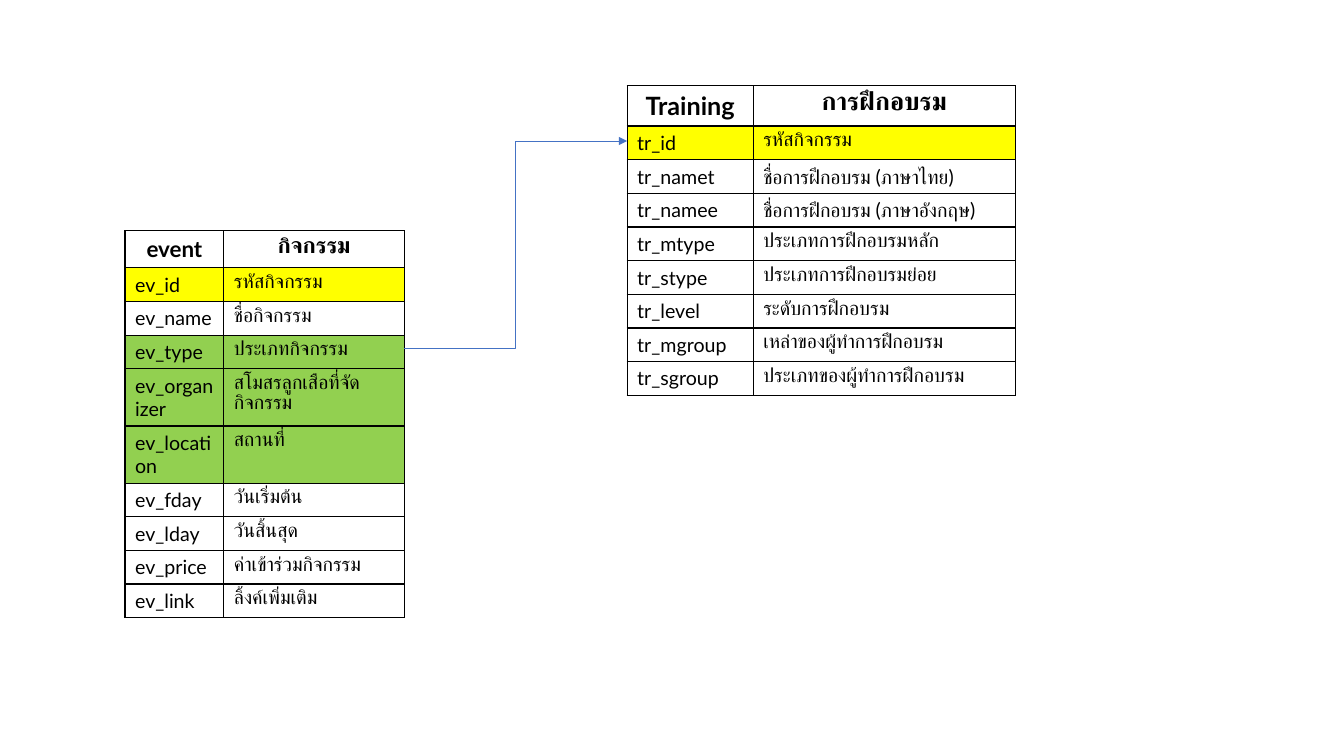
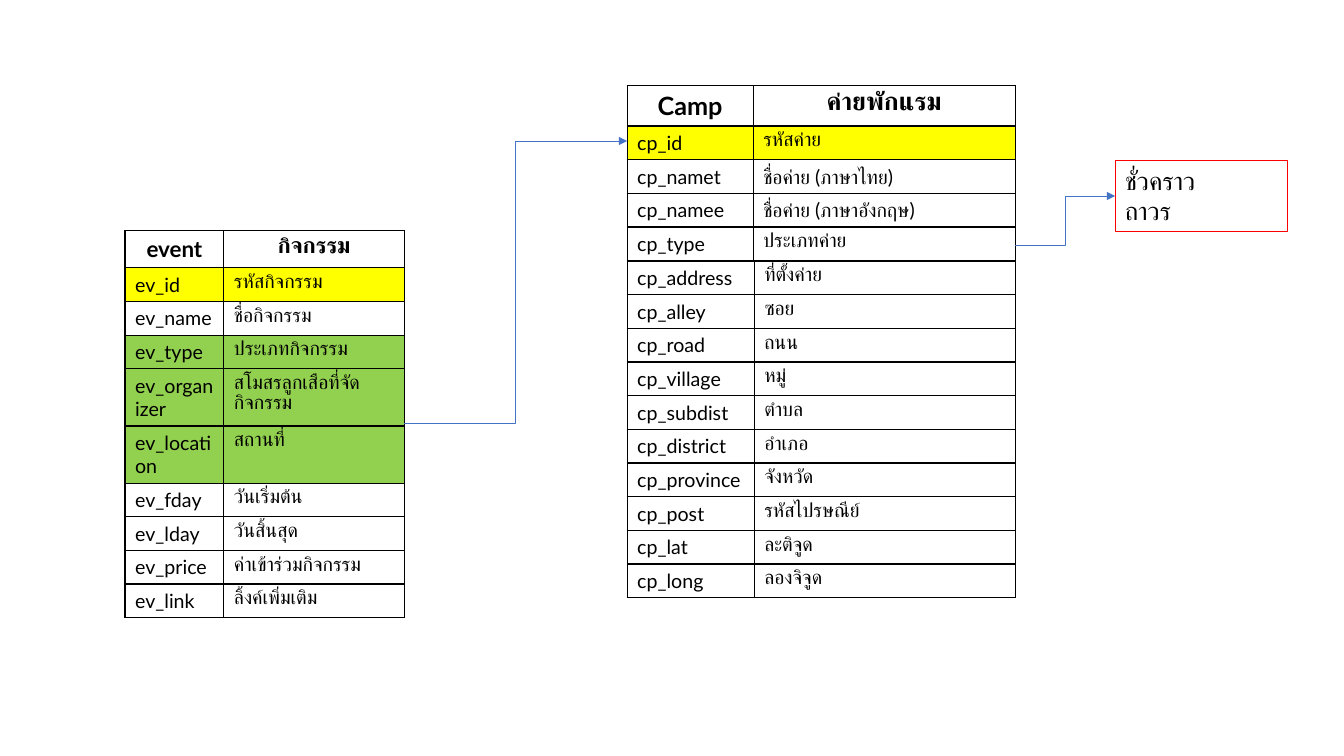
"""Build two database diagrams that link the event table to its related tables."""
from lxml import etree
from pptx import Presentation
from pptx.dml.color import RGBColor
from pptx.enum.shapes import MSO_CONNECTOR
from pptx.enum.text import MSO_AUTO_SIZE, PP_ALIGN
from pptx.oxml.ns import qn
from pptx.util import Inches, Pt

ELBOW = MSO_CONNECTOR.ELBOW
CENTER, LEFT = PP_ALIGN.CENTER, PP_ALIGN.LEFT
FIT = MSO_AUTO_SIZE.SHAPE_TO_FIT_TEXT

THEME = {
    "font": "Lato", "text": "000000", "link": "4472C4", "note": "FF0000",
    "key": "FFFF00", "foreign": "92D050",
    "body": 14, "event_head": 16, "head": 18,
    "border": 1, "link_width": 0.5, "note_width": 0.75,
}

EVENT = [
    ("event", "กิจกรรม"),
    ("ev_id", "รหัสกิจกรรม"),
    ("ev_name", "ชื่อกิจกรรม"),
    ("ev_type", "ประเภทกิจกรรม"),
    ("ev_organizer", "สโมสรลูกเสือที่จัดกิจกรรม"),
    ("ev_location", "สถานที่"),
    ("ev_fday", "วันเริ่มต้น"),
    ("ev_lday", "วันสิ้นสุด"),
    ("ev_price", "ค่าเข้าร่วมกิจกรรม"),
    ("ev_link", "ลิ้งค์เพิ่มเติม"),
]
TRAINING = [
    ("Training", "การฝึกอบรม"),
    ("tr_id", "รหัสกิจกรรม"),
    ("tr_namet", "ชื่อการฝึกอบรม (ภาษาไทย)"),
    ("tr_namee", "ชื่อการฝึกอบรม (ภาษาอังกฤษ)"),
    ("tr_mtype", "ประเภทการฝึกอบรมหลัก"),
    ("tr_stype", "ประเภทการฝึกอบรมย่อย"),
    ("tr_level", "ระดับการฝึกอบรม"),
    ("tr_mgroup", "เหล่าของผู้ทำการฝึกอบรม"),
    ("tr_sgroup", "ประเภทของผู้ทำการฝึกอบรม"),
]
CAMP = [
    ("Camp", "ค่ายพักแรม"),
    ("cp_id", "รหัสค่าย"),
    ("cp_namet", "ชื่อค่าย (ภาษาไทย)"),
    ("cp_namee", "ชื่อค่าย (ภาษาอังกฤษ)"),
    ("cp_type", "ประเภทค่าย"),
]
ADDRESS = [
    ("cp_address", "ที่ตั้งค่าย"),
    ("cp_alley", "ซอย"),
    ("cp_road", "ถนน"),
    ("cp_village", "หมู่"),
    ("cp_subdist", "ตำบล"),
    ("cp_district", "อำเภอ"),
    ("cp_province", "จังหวัด"),
    ("cp_post", "รหัสไปรษณีย์"),
    ("cp_lat", "ละติจูด"),
    ("cp_long", "ลองจิจูด"),
]
CAMP_TYPES = ["ชั่วคราว", "ถาวร"]

FILLS = {"ev_id": "key", "tr_id": "key", "cp_id": "key",
         "ev_type": "foreign", "ev_organizer": "foreign", "ev_location": "foreign"}

EVENT_PLACE = {"at": (1.24, 2.29), "cols": (0.98, 1.79), "head": "event_head"}
TARGET_PLACE = {"at": (6.22, 0.85), "cols": (1.25, 2.6), "head": "head"}
ADDRESS_PLACE = {"at": (6.22, 2.59), "cols": (1.26, 2.59), "head": None}
NOTE_BOX = (11.06, 1.59, 1.71, 0.71)
EVENT_RIGHT, TARGET_LEFT, TARGET_RIGHT, ID_Y = 4.01, 6.22, 10.07, 1.4

SLIDES = [
    {"tables": [(EVENT, EVENT_PLACE), (TRAINING, TARGET_PLACE)],
     "links": [(EVENT_RIGHT, 3.46, TARGET_LEFT, ID_Y)], "note": None},
    {"tables": [(EVENT, EVENT_PLACE), (CAMP, TARGET_PLACE), (ADDRESS, ADDRESS_PLACE)],
     "links": [(EVENT_RIGHT, 4.2, TARGET_LEFT, ID_Y),
               (TARGET_RIGHT, 2.43, NOTE_BOX[0], NOTE_BOX[1] + NOTE_BOX[3] / 2)],
     "note": CAMP_TYPES},
]


def color(name):
    return RGBColor.from_string(THEME[name])


def write(p, text, size, bold=False, align=LEFT):
    p.alignment = align
    r = p.add_run()
    r.text = text
    for name, value in {"name": THEME["font"], "size": Pt(THEME[size]), "bold": bold}.items():
        setattr(r.font, name, value)
    r.font.color.rgb = color("text")


def add_borders(cell):
    tc_pr = cell._tc.get_or_add_tcPr()
    for side in ("lnL", "lnR", "lnT", "lnB"):
        ln = etree.SubElement(tc_pr, qn(f"a:{side}"), w=str(Pt(THEME["border"])))
        fill = etree.SubElement(ln, qn("a:solidFill"))
        etree.SubElement(fill, qn("a:srgbClr"), val=THEME["text"])


def add_field_table(s, rows, place):
    x, y = place["at"]
    cols, head = place["cols"], place["head"]
    sizes = [head if head and i == 0 else "body" for i in range(len(rows))]
    heights = [Pt(THEME[size] * 1.2) + Inches(0.1) for size in sizes]
    table = s.shapes.add_table(len(rows), len(cols), Inches(x), Inches(y),
                               Inches(sum(cols)), sum(heights)).table
    table.first_row = table.horz_banding = False
    for col, width in zip(table.columns, cols):
        col.width = Inches(width)
    for row, height, size, texts in zip(table.rows, heights, sizes, rows):
        row.height = height
        is_head = size != "body"
        for cell, text in zip(row.cells, texts):
            write(cell.text_frame.paragraphs[0], text, size, is_head,
                  CENTER if is_head else LEFT)
            add_borders(cell)
            if texts[0] in FILLS:
                cell.fill.solid()
                cell.fill.fore_color.rgb = color(FILLS[texts[0]])
            else:
                cell.fill.background()


def add_link(s, ends):
    sp = s.shapes.add_connector(ELBOW, *(Inches(v) for v in ends))
    sp.line.color.rgb = color("link")
    sp.line.width = Pt(THEME["link_width"])
    etree.SubElement(sp.line._get_or_add_ln(), qn("a:tailEnd"), type="triangle")
    etree.SubElement(sp._element.spPr, qn("a:effectLst"))


def add_note(s, lines):
    sp = s.shapes.add_textbox(*(Inches(v) for v in NOTE_BOX))
    sp.line.color.rgb = color("note")
    sp.line.width = Pt(THEME["note_width"])
    tf = sp.text_frame
    tf.word_wrap = True
    tf.auto_size = FIT
    for i, text in enumerate(lines):
        write(tf.add_paragraph() if i else tf.paragraphs[0], text, "head")


def main():
    prs = Presentation()
    prs.slide_width, prs.slide_height = Inches(13.33), Inches(7.5)
    blank = prs.slide_layouts.get_by_name("Blank")
    for content in SLIDES:
        s = prs.slides.add_slide(blank)
        for rows, place in content["tables"]:
            add_field_table(s, rows, place)
        for ends in content["links"]:
            add_link(s, ends)
        if content["note"]:
            add_note(s, content["note"])
    prs.save("out.pptx")


main()
